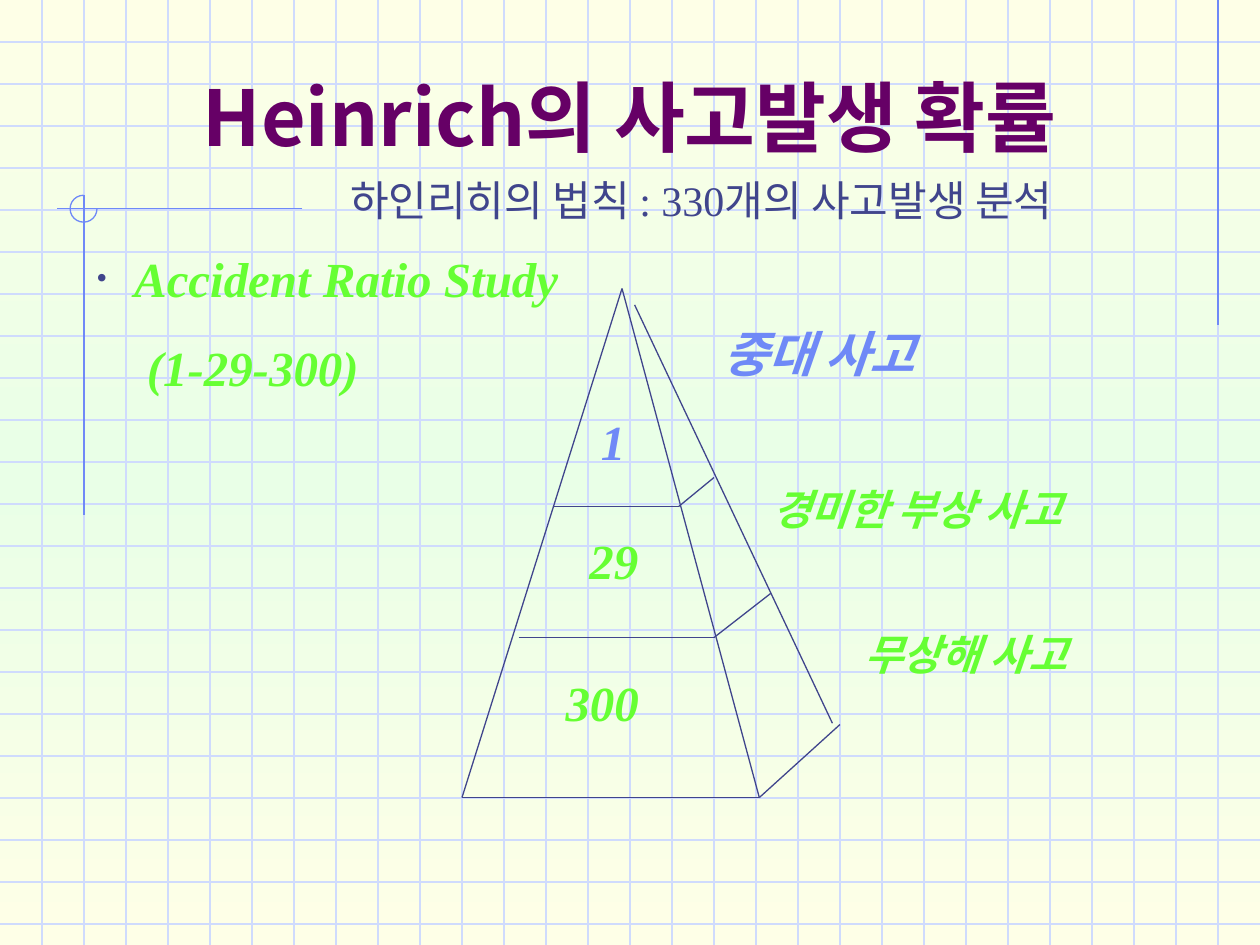
from copy import deepcopy

from lxml import etree
from pptx import Presentation
from pptx import util as u
from pptx.dml import color
from pptx.enum import shapes, text
from pptx.oxml import ns

COLUMNS, ROWS = 30, 22.5
CELL = u.Inches(10) / COLUMNS
SANS, SERIF = "Noto Sans CJK KR", "Times New Roman"
CREAM, MINT = "FEFFE7", "E9FFE7"
GRID, BLUE, INK = "CFDBFD", "6F89F7", "40458C"
GREEN, PURPLE = "66FF33", "660066"


def cells(count):
    """Turn a number of grid cells into a length."""
    return u.Emu(round(count * CELL))


def rgb(code):
    """Turn a hex string into a colour."""
    return color.RGBColor.from_string(code)


def add_line(parts, start, end, code):
    """Draw a thin straight line between two grid points."""
    points = [cells(value) for value in (*start, *end)]
    line = parts.add_connector(shapes.MSO_CONNECTOR.STRAIGHT, *points)
    line.line.color.rgb = rgb(code)
    line.line.width = u.Pt(0.75)
    etree.SubElement(line._element.spPr, ns.qn("a:effectLst"))


def write(paragraph, words, size=28, font=SERIF, code=GREEN, bold=True, italic=True):
    """Put formatted words into a paragraph."""
    run = paragraph.add_run()
    run.text = words
    style = run.font
    style.size, style.name = u.Pt(size), font
    style.bold, style.italic = bold, italic
    style.color.rgb = rgb(code)
    east_asian = etree.SubElement(run._r.get_or_add_rPr(), ns.qn("a:ea"))
    east_asian.set("typeface", SANS)


def add_text(parts, box, words, wrap=True, **style):
    """Add a text box at a box of grid cells and return its frame."""
    frame = parts.add_textbox(*map(cells, box)).text_frame
    frame.word_wrap = wrap
    write(frame.paragraphs[0], words, **style)
    return frame


def indent(paragraph, margin, hanging=0):
    """Set the left margin and hanging indent of a paragraph in cells."""
    properties = paragraph._p.get_or_add_pPr()
    properties.set("marL", str(cells(margin)))
    properties.set("indent", str(-cells(hanging)))
    return properties


def paint_background(slide):
    """Fill the slide with a vertical cream, mint and cream gradient."""
    fill = slide.background.fill
    fill.gradient()
    fill.gradient_angle = 270
    stop_list = slide._element.find(".//" + ns.qn("a:gsLst"))
    stop_list.append(deepcopy(stop_list[-1]))
    for stop, code, place in zip(fill.gradient_stops, (CREAM, MINT, CREAM), (0, 0.5, 1)):
        stop.color.rgb = rgb(code)
        stop.position = place


def draw_graph_paper(slide, box):
    """Rule the box into cells and add the blue margin lines and arc."""
    left, top, width, height = box
    paper = slide.shapes.add_group_shape().shapes
    for row in range(1, int(height) + 1):
        add_line(paper, (left, top + row), (left + width, top + row), GRID)
    for column in range(1, int(width)):
        add_line(paper, (left + column, top), (left + column, top + height), GRID)
    for start, end in (((29, 0), (29, 7.74)), ((7.2, 4.97), (1.36, 4.97)), ((2, 4.65), (2, 12.27))):
        add_line(paper, start, end, BLUE)
    arc = paper.add_shape(shapes.MSO_SHAPE.ARC, *map(cells, (1.67, 4.65, 0.64, 0.64)))
    arc.adjustments[0], arc.adjustments[1] = 0, 162
    arc.shadow.inherit = False
    arc.fill.background()
    arc.line.color.rgb = rgb(BLUE)
    arc.line.width = u.Pt(0.75)


def place_heading(slide, box):
    """Place the title in the box and the subtitle right below it."""
    left, top, width, height = box
    title = slide.shapes.title
    title.left, title.top, title.width, title.height = map(cells, box)
    slide.shapes._spTree.append(title._element)
    frame = title.text_frame
    frame.word_wrap = True
    frame.vertical_anchor = text.MSO_ANCHOR.BOTTOM
    frame.paragraphs[0].alignment = text.PP_ALIGN.CENTER
    write(frame.paragraphs[0], "Heinrich의 사고발생 확률", size=44, font=SANS, code=PURPLE, italic=False)
    add_text(slide.shapes, (left + 5.79, top + height, 18.03, 1.5),
             "하인리히의 법칙 : 330개의 사고발생 분석",
             wrap=False, size=24, code=INK, bold=False, italic=False)


def draw_pyramid(slide, box):
    """Draw the three-tier pyramid with its counts and labels."""
    left, top, width, height = box
    parts = slide.shapes
    apex, base_left, base_right = (3.81, 0), (0, height), (7.08, height)
    tiers = [
        ((2.16, 5.19), (5.16, 5.19), (6, 4.5)),
        ((1.35, 8.31), (6, 8.31), (7.35, 7.26)),
        (base_left, base_right, (width, 10.38)),
    ]
    edges = [(apex, base_left), (apex, base_right), ((4.11, 0.39), (8.82, 10.35))]
    for front_left, front_right, back in tiers:
        edges += [(front_left, front_right), (front_right, back)]
    for edge in edges:
        start, end = ((left + x, top + y) for x, y in edge)
        add_line(parts, start, end, INK)

    counts = [("1", 3.01, 2.79, 1.65, BLUE), ("29", 2.74, 5.61, 3.27, GREEN), ("300", 2.17, 9, 4.08, GREEN)]
    for count, x, y, span, code in counts:
        add_text(parts, (left + x, top + y, span, 1.7), count, code=code)

    labels = [("중대 사고", 5.92, 0.69, 10.7, 28, BLUE),
              ("경미한 부상 사고", 7.09, 4.5, 10.65, 24, GREEN),
              ("무상해 사고", 9.28, 7.95, 8.73, 24, GREEN)]
    for label, x, y, span, size, code in labels:
        add_text(parts, (left + x, top + y, span, 1.6), label, size=size, font=SANS, code=code)


def place_study_note(slide, box):
    """Add the bulleted study name with its ratio below."""
    frame = add_text(slide.shapes, box, "Accident Ratio Study")
    properties = indent(frame.paragraphs[0], 0.9, 0.9)
    bullet_colour = etree.SubElement(properties, ns.qn("a:buClr"))
    etree.SubElement(bullet_colour, ns.qn("a:srgbClr")).set("val", INK)
    etree.SubElement(properties, ns.qn("a:buSzPct")).set("val", "64000")
    etree.SubElement(properties, ns.qn("a:buFont")).set("typeface", SERIF)
    etree.SubElement(properties, ns.qn("a:buChar")).set("char", "•")
    ratio = frame.add_paragraph()
    indent(ratio, 1.2)
    ratio.space_before = u.Pt(17.5)
    write(ratio, "(1-29-300)")


def main():
    """Build the slide and save it."""
    deck = Presentation()
    deck.slide_width, deck.slide_height = cells(COLUMNS), cells(ROWS)
    slide = deck.slides.add_slide(deck.slide_layouts[5])
    paint_background(slide)
    draw_graph_paper(slide, (0, 0, COLUMNS, ROWS))
    place_heading(slide, (2.25, 1, 25.5, 3))
    draw_pyramid(slide, (11, 6.87, 9, 12.12))
    place_study_note(slide, (2, 5.76, 12.27, 3.84))
    deck.save("out.pptx")


if __name__ == "__main__":
    main()
